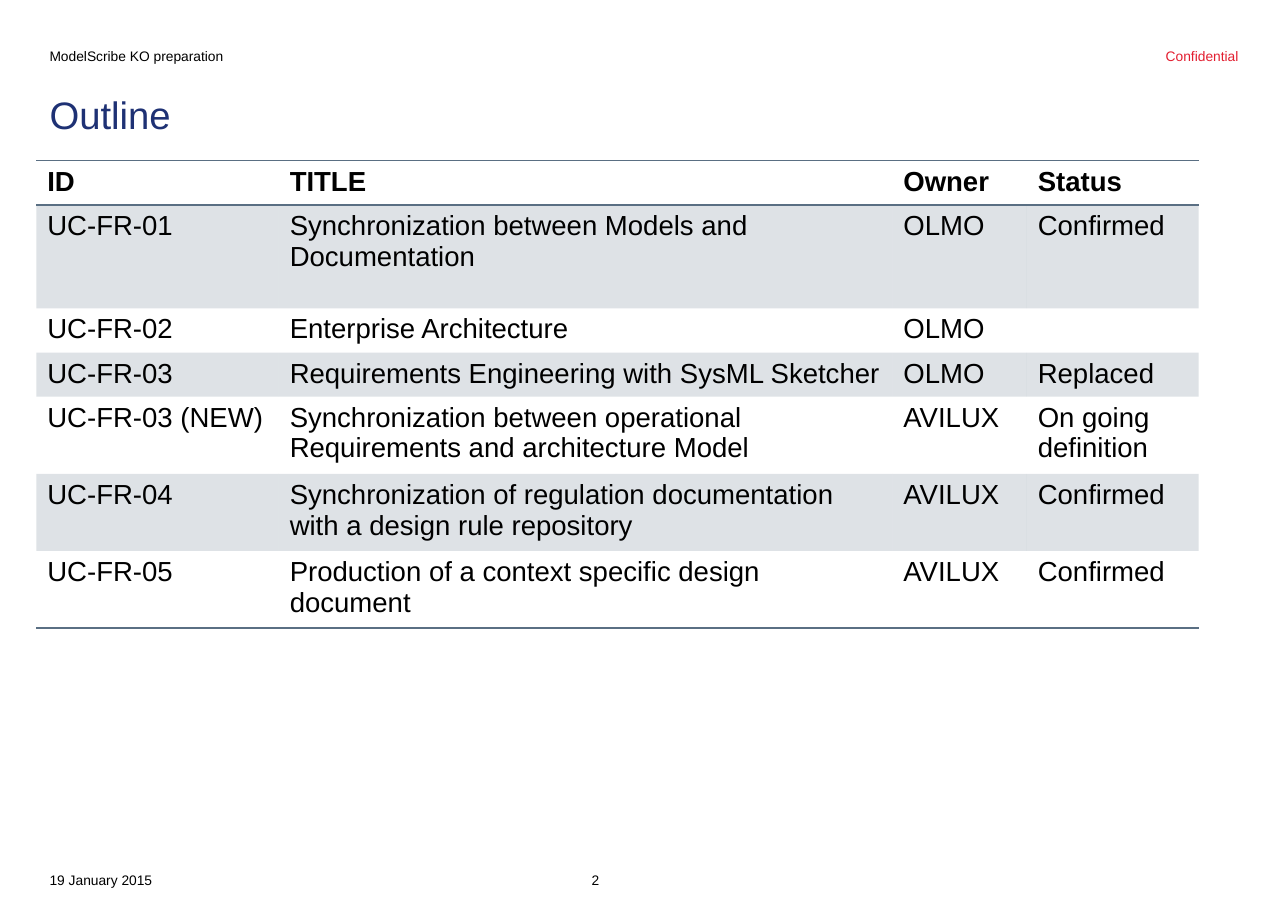
from pptx import Presentation
from pptx.dml.color import RGBColor
from pptx.enum.text import MSO_ANCHOR as Anchor, PP_ALIGN as Align
from pptx.oxml import parse_xml
from pptx.oxml.ns import nsdecls, qn
from pptx.util import Inches, Pt

FONT = "Arial"
BLACK = RGBColor(0x00, 0x00, 0x00)
RED = RGBColor(0xE3, 0x1E, 0x30)
NAVY = RGBColor(0x1E, 0x31, 0x74)
SLATE = RGBColor(0x5A, 0x6F, 0x83)

PLAIN_TABLE_STYLE = "{2D5ABB26-0587-4C30-8999-92F81FD0307C}"
COLUMN_WIDTHS = [2.2, 5.57, 1.22, 1.56]
# Rows with two lines of text grow by themselves.
ROW_HEIGHTS = [0.4, 0.94, 0.4, 0.4, 0.4, 0.4, 0.4]
USE_CASES = [
    ("ID", "TITLE", "Owner", "Status"),
    ("UC-FR-01", "Synchronization between Models and Documentation", "OLMO", "Confirmed"),
    ("UC-FR-02", "Enterprise Architecture", "OLMO", ""),
    ("UC-FR-03", "Requirements Engineering with SysML Sketcher", "OLMO", "Replaced"),
    ("UC-FR-03 (NEW)", "Synchronization between operational Requirements and architecture Model",
     "AVILUX", "On going definition"),
    ("UC-FR-04", "Synchronization of regulation documentation with a design rule repository",
     "AVILUX", "Confirmed"),
    ("UC-FR-05", "Production of a context specific design document", "AVILUX", "Confirmed"),
]


def style_font(font, size, color, bold=False):
    font.name = FONT
    font.size = Pt(size)
    font.bold = bold
    font.color.rgb = color


def add_text(page, text, left, top, width, height, size=9, color=BLACK,
             align=Align.LEFT, anchor=Anchor.BOTTOM, line_spacing=1.0):
    box = page.shapes.add_textbox(Inches(left), Inches(top), Inches(width), Inches(height))
    frame = box.text_frame
    frame.word_wrap = True
    frame.vertical_anchor = anchor
    frame.margin_left = frame.margin_right = frame.margin_top = frame.margin_bottom = 0
    para = frame.paragraphs[0]
    para.text = text
    para.alignment = align
    para.line_spacing = line_spacing
    style_font(para.font, size, color)


def add_border(cell, side):
    """Rule one side of a cell; side is a tag such as lnT, and lnT must precede lnB."""
    cell._tc.get_or_add_tcPr().append(parse_xml(
        f'<a:{side} {nsdecls("a")} w="{Pt(1)}"><a:solidFill>'
        f'<a:srgbClr val="{SLATE}"/></a:solidFill></a:{side}>'))


def shade(cell):
    """Fill a cell with slate at 20 % opacity."""
    cell.fill.solid()
    cell.fill.fore_color.rgb = SLATE
    color = cell._tc.tcPr.find(qn("a:solidFill")).find(qn("a:srgbClr"))
    color.append(parse_xml(f'<a:alpha {nsdecls("a")} val="20000"/>'))


def fill_cell(cell, text, row):
    para = cell.text_frame.paragraphs[0]
    para.text = text
    style_font(para.font, 18, BLACK, bold=row == 0)
    if row == 0:
        add_border(cell, "lnT")
    if row in (0, len(USE_CASES) - 1):
        add_border(cell, "lnB")
    if row % 2:
        shade(cell)
    else:
        cell.fill.background()


def add_use_case_table(page, left, top):
    frame = page.shapes.add_table(
        len(USE_CASES), len(COLUMN_WIDTHS), Inches(left), Inches(top),
        Inches(sum(COLUMN_WIDTHS)), Inches(sum(ROW_HEIGHTS)))
    table = frame.table
    table.first_row = table.horz_banding = False
    next(frame.element.iter(qn("a:tableStyleId"))).text = PLAIN_TABLE_STYLE
    for column, width in zip(table.columns, COLUMN_WIDTHS):
        column.width = Inches(width)
    for index, (row, height) in enumerate(zip(table.rows, ROW_HEIGHTS)):
        row.height = Inches(height)
        for cell, text in zip(row.cells, USE_CASES[index]):
            fill_cell(cell, text, index)


def main():
    deck = Presentation()
    deck.slide_width = Inches(11.69)
    deck.slide_height = Inches(8.27)
    page = deck.slides.add_slide(deck.slide_layouts[6])

    add_text(page, "Confidential", 9.55, 0.28, 1.69, 0.3, color=RED, align=Align.RIGHT)
    add_text(page, "Outline", 0.45, 0.79, 10.79, 0.6, size=25, color=NAVY,
             anchor=Anchor.TOP, line_spacing=1.1)
    add_text(page, "19 January 2015", 0.45, 7.8, 4.45, 0.26)
    add_text(page, "ModelScribe KO preparation", 0.45, 0.28, 9.06, 0.3)
    add_text(page, "2", 5.37, 7.8, 0.99, 0.26)
    add_use_case_table(page, 0.33, 1.46)

    deck.save("out.pptx")


if __name__ == "__main__":
    main()
